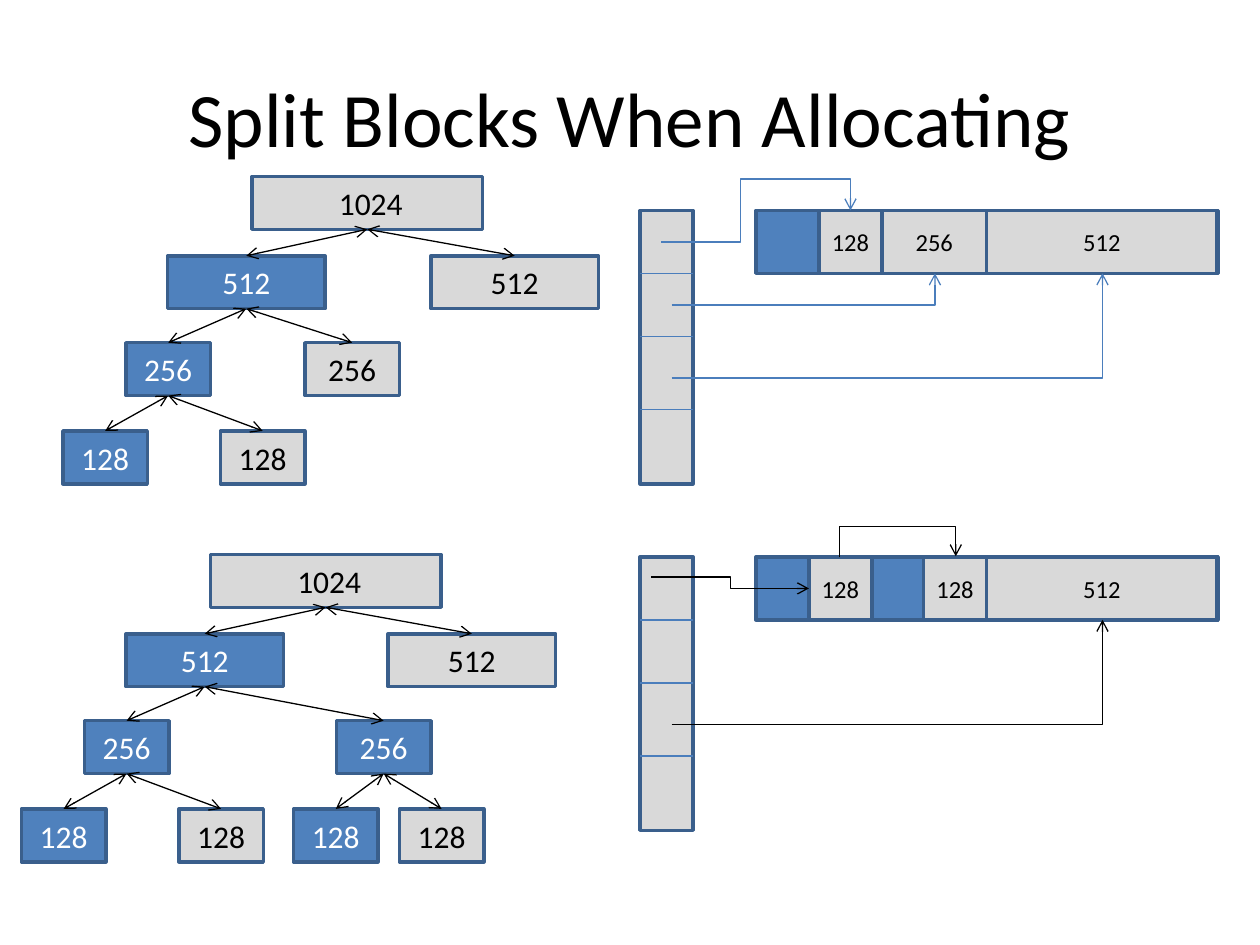
from lxml import etree
from pptx import Presentation
from pptx import util as u
from pptx.dml.color import RGBColor
from pptx.enum import shapes, text
from pptx.oxml import ns

GRAY, BLUE, BORDER, WIRE = "D9D9D9", "4F81BD", "3A5F8C", "4B7EBC"
BLACK, WHITE = "000000", "FFFFFF"
STRAIGHT, ELBOW = shapes.MSO_CONNECTOR.STRAIGHT, shapes.MSO_CONNECTOR.ELBOW
BOX_HEIGHT, CELL_HEIGHT = 0.42, 0.5


def add_box(parent, left, top, width, height, fill, label="", size=18):
    box = parent.shapes.add_shape(shapes.MSO_SHAPE.RECTANGLE, u.Inches(left),
                                  u.Inches(top), u.Inches(width), u.Inches(height))
    box.shadow.inherit = False
    box.fill.solid()
    box.fill.fore_color.rgb = RGBColor.from_string(fill)
    box.line.color.rgb = RGBColor.from_string(BORDER)
    box.line.width = u.Pt(2)
    if label:
        box.text_frame.vertical_anchor = text.MSO_ANCHOR.MIDDLE
        para = box.text_frame.paragraphs[0]
        para.alignment = text.PP_ALIGN.CENTER
        span = para.add_run()
        span.text = label
        span.font.size = u.Pt(size)
        span.font.name = "Calibri"
        span.font.color.rgb = RGBColor.from_string(WHITE if fill == BLUE else BLACK)
    return box


def add_line(parent, start, end, color, ends=(), kind=STRAIGHT, preset=None, adjust=()):
    line = parent.shapes.add_connector(kind, *[u.Inches(v) for v in (*start, *end)])
    line.line.color.rgb = RGBColor.from_string(color)
    line.line.width = u.Pt(0.75)
    properties = line._element.spPr
    for name in ends:
        etree.SubElement(properties.find(ns.qn("a:ln")), ns.qn("a:" + name), type="arrow")
    etree.SubElement(properties, ns.qn("a:effectLst"))
    geometry = properties.find(ns.qn("a:prstGeom"))
    if preset:
        geometry.set("prst", preset)
    for number, value in enumerate(adjust, 1):
        etree.SubElement(geometry.find(ns.qn("a:avLst")), ns.qn("a:gd"),
                         name=f"adj{number}", fmla=f"val {round(value * 100000)}")
    return line


deck = Presentation()
deck.slide_width, deck.slide_height = u.Inches(10), u.Inches(7.5)
page = deck.slides.add_slide(deck.slide_layouts[5])

# Title
title = page.shapes.title
title.left, title.top = u.Inches(0.5), u.Inches(0.3)
title.width, title.height = u.Inches(9), u.Inches(1.25)
title.text_frame.vertical_anchor = text.MSO_ANCHOR.MIDDLE
para = title.text_frame.paragraphs[0]
para.alignment = text.PP_ALIGN.CENTER
span = para.add_run()
span.text = "Split Blocks When Allocating"
span.font.size = u.Pt(44)
span.font.name = "Calibri"
span.font.color.rgb = RGBColor.from_string(BLACK)

# Block trees: level, left, width, label, fill, index of the parent node
level_tops = [1.4, 2.03, 2.72, 3.42]
trees = [
    (0, [(0, 2, 1.83, " 1024", GRAY, None),
         (1, 1.33, 1.25, "512", BLUE, 0), (1, 3.42, 1.33, "512", GRAY, 0),
         (2, 1, 0.67, "256", BLUE, 1), (2, 2.42, 0.75, "256", GRAY, 1),
         (3, 0.5, 0.67, "128", BLUE, 3), (3, 1.75, 0.67, "128", GRAY, 3)]),
    (3, [(0, 1.67, 1.83, " 1024", GRAY, None),
         (1, 1, 1.25, "512", BLUE, 0), (1, 3.08, 1.33, "512", GRAY, 0),
         (2, 0.67, 0.67, "256", BLUE, 1), (2, 2.67, 0.75, "256", BLUE, 1),
         (3, 0.17, 0.67, "128", BLUE, 3), (3, 1.42, 0.67, "128", GRAY, 3),
         (3, 2.33, 0.67, "128", BLUE, 4), (3, 3.17, 0.67, "128", GRAY, 4)]),
]
for shift, nodes in trees:
    tree = page.shapes.add_group_shape()
    boxes = []
    for level, left, width, label, fill, parent_index in nodes:
        top = level_tops[level] + shift
        box = add_box(tree, left, top, width, BOX_HEIGHT, fill, label)
        boxes.append(box)
        if parent_index is not None:
            edge = add_line(tree, (left, top), (left, top), BLACK, ("headEnd", "tailEnd"))
            edge.begin_connect(boxes[parent_index], 2)
            edge.end_connect(box, 0)

# Memory strips with their free lists: top, free blocks (left, width, label)
strips = [
    (1.67, [(7.83, 1.83, "512"), (7, 0.83, "256"), (6.5, 0.5, "128")]),
    (4.42, [(7.83, 1.83, "512"), (6.42, 0.5, "128"), (7.33, 0.5, "128")]),
]
for top, blocks in strips:
    memory = page.shapes.add_group_shape()
    add_box(memory, 6, top, 3.67, CELL_HEIGHT, BLUE)
    for left, width, label in blocks:
        add_box(memory, left, top, width, CELL_HEIGHT, GRAY, label, 14)
    add_box(page, 5.08, top, 0.42, 2.17, GRAY)
    for offset in (0.5, 1, 1.58):
        add_line(page, (5.08, top + offset), (5.5, top + offset), WIRE)

# Pointers from the free lists to the free blocks
pointers = [
    ((5.33, 2.42), (7.42, 2.17), WIRE, "bentConnector2", ()),
    ((5.33, 3), (8.75, 2.17), WIRE, "bentConnector2", ()),
    ((5.25, 1.92), (6.75, 1.67), WIRE, "bentConnector4", (0.42, 2)),
    ((5.33, 5.75), (8.75, 4.92), BLACK, "bentConnector2", ()),
    ((5.17, 4.58), (6.42, 4.67), BLACK, "bentConnector3", (0.5,)),
]
for start, end, color, preset, adjust in pointers:
    add_line(page, start, end, color, ("tailEnd",), ELBOW, preset, adjust)

# Link between the two free 128 blocks, turned to leave and enter from above
link = add_line(page, (7.13, 4.88), (7.12, 3.96), BLACK, ("tailEnd",), ELBOW,
                "bentConnector3", (25,))
link._element.spPr.find(ns.qn("a:xfrm")).set("rot", "5400000")

deck.save("out.pptx")
